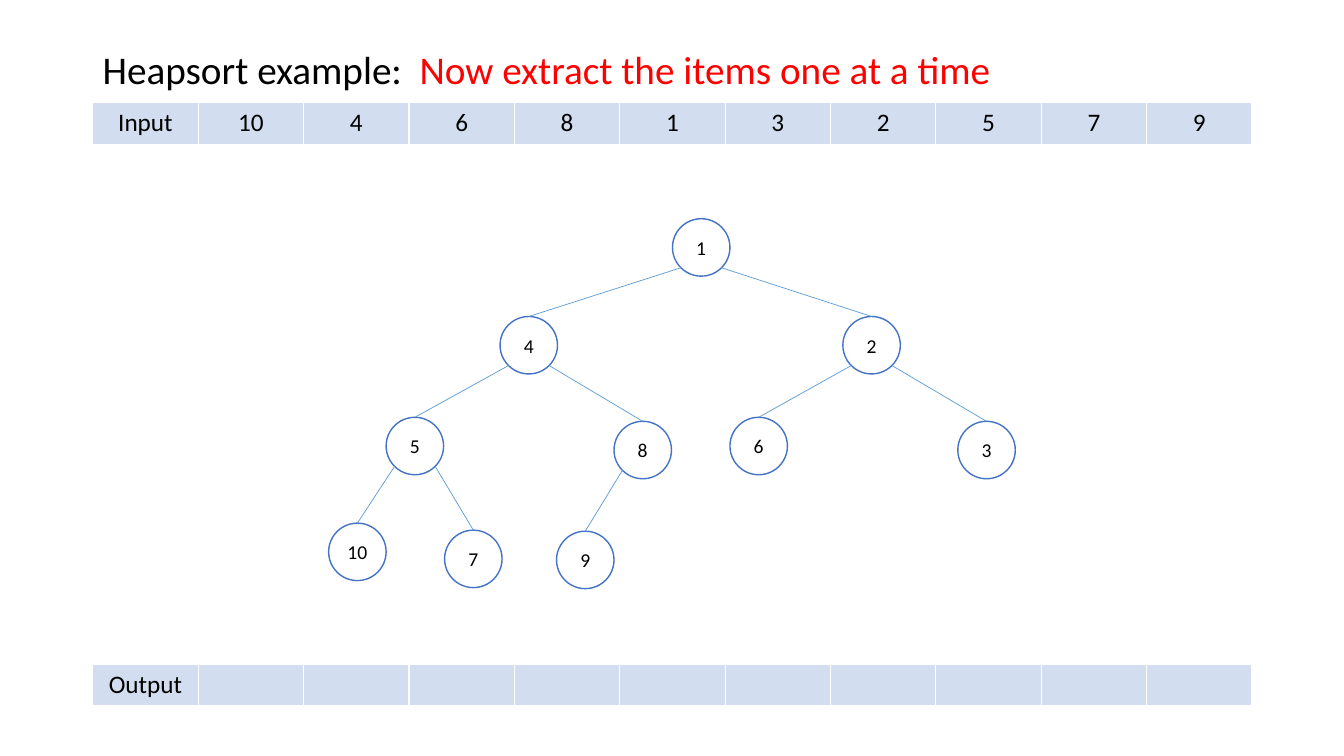
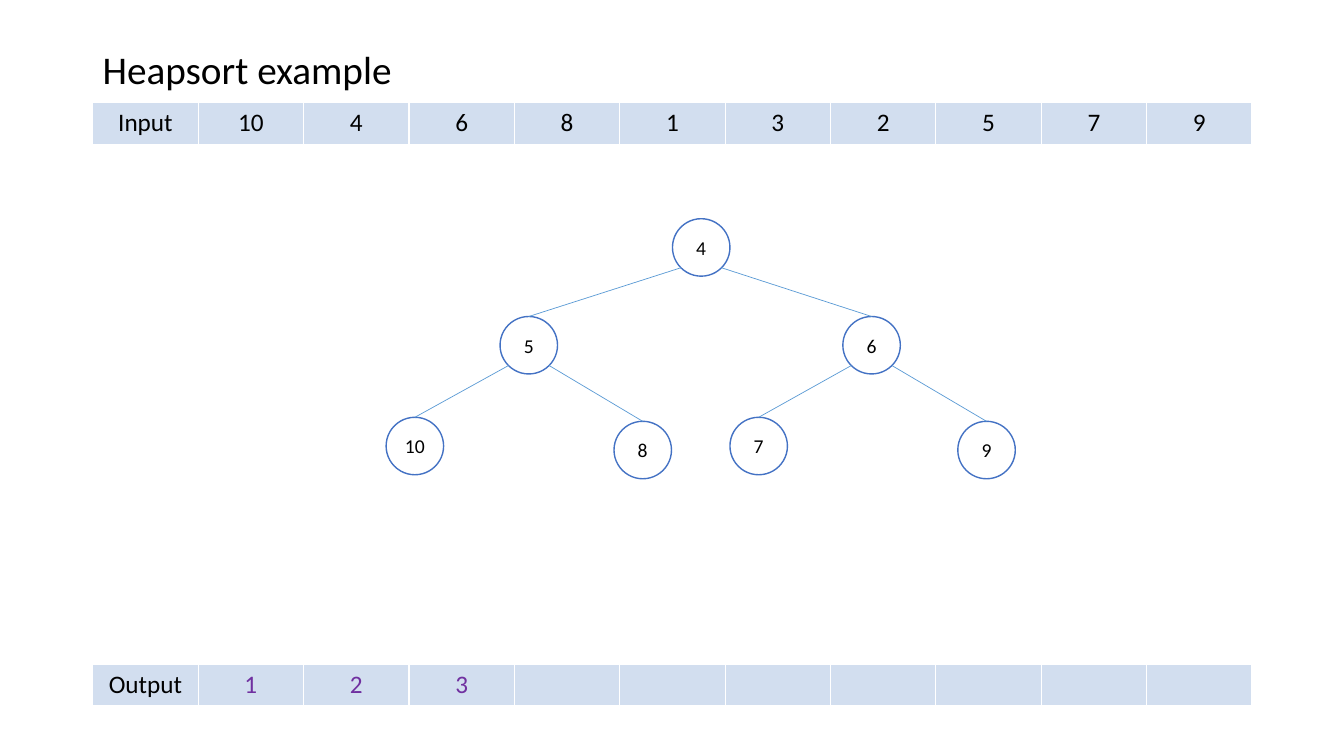
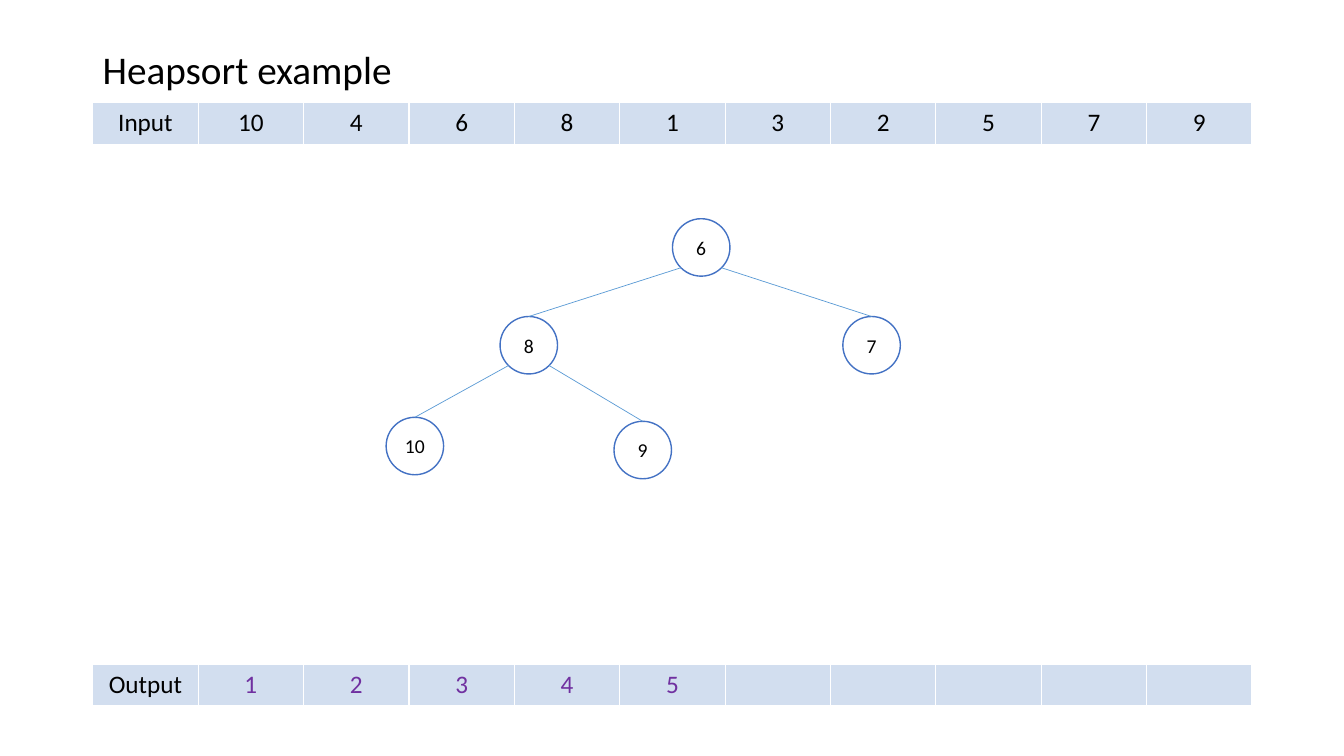
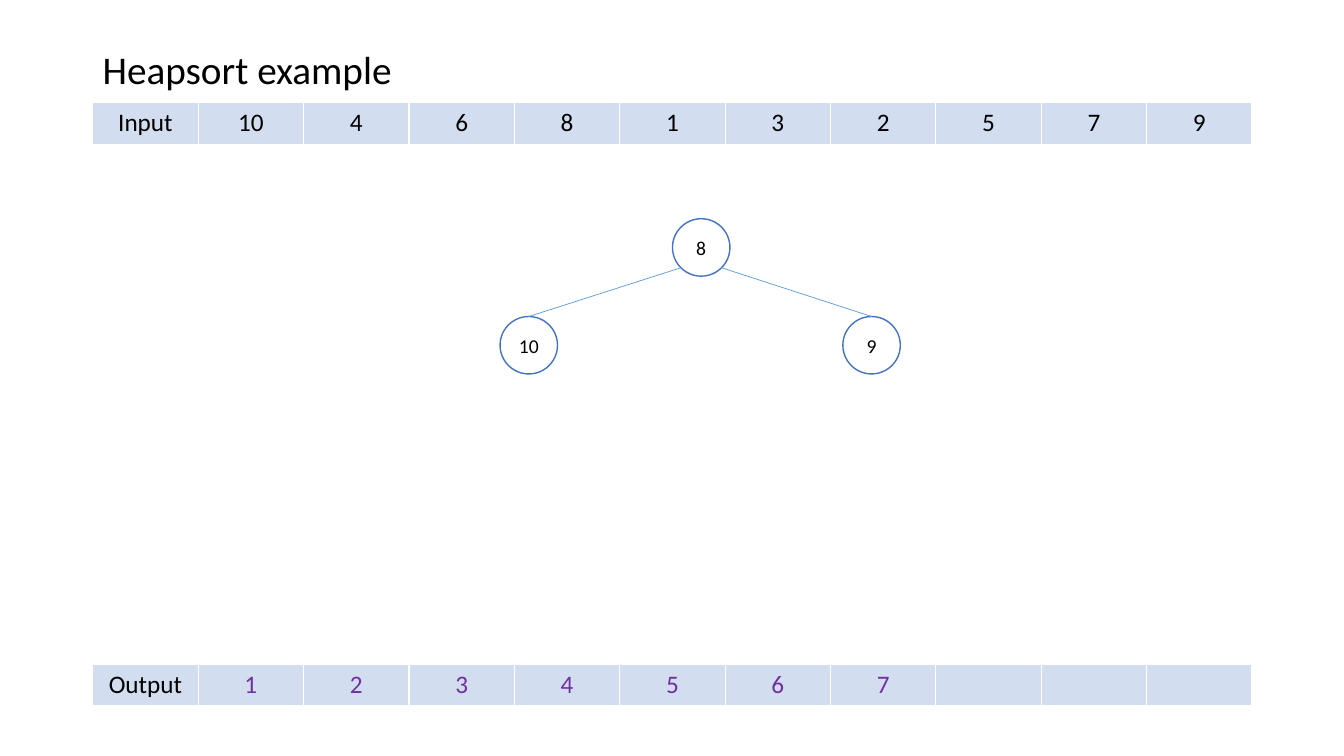
from math import sqrt

from pptx import Presentation
from pptx.dml.color import RGBColor
from pptx.enum.shapes import MSO_CONNECTOR as Line, MSO_SHAPE as Shape
from pptx.enum.text import MSO_ANCHOR as Anchor, PP_ALIGN as Align
from pptx.oxml import parse_xml
from pptx.oxml.ns import nsdecls
from pptx.util import Inches, Pt

FONT = "Calibri"
BLACK, WHITE, RED, PURPLE = "000000", "FFFFFF", "FF0000", "7030A0"
CELL, RING, EDGE = "D2DEEF", "4472C4", "5B9BD5"
LEFT, WIDTH, ROW = 0.92, 11.5, 0.41
SIZE = 0.57
ITEMS = [10, 4, 6, 8, 1, 3, 2, 5, 7, 9]
SPOTS = [
    (6.67, 2.17),
    (4.96, 3.14), (8.36, 3.14),
    (3.83, 4.14), (6.09, 4.18), (7.24, 4.14), (9.5, 4.18),
    (3.26, 5.19), (4.41, 5.26), (5.52, 5.27),
]
STEPS = [
    ([1, 4, 2, 5, 8, 6, 3, 10, 7, 9], "Now extract the items one at a time"),
    ([4, 5, 6, 10, 8, 7, 9], ""),
    ([6, 8, 7, 10, 9], ""),
    ([8, 10, 9], ""),
]


def color(code):
    """Turn a hex string into a colour."""
    return RGBColor.from_string(code)


def style(font, size, code=BLACK):
    """Set the typeface, size and colour of a font."""
    font.name = FONT
    font.size = Pt(size)
    font.color.rgb = color(code)


def paint(item, code):
    """Fill a shape or cell with a solid colour."""
    item.fill.solid()
    item.fill.fore_color.rgb = color(code)


def title(slide, note):
    """Add the slide title, with a red note after it if there is one."""
    box = slide.shapes.add_textbox(
        Inches(LEFT), Inches(0.4), Inches(WIDTH), Inches(0.62))
    frame = box.text_frame
    frame.word_wrap = True
    frame.vertical_anchor = Anchor.MIDDLE
    para = frame.paragraphs[0]
    para.line_spacing = 0.9
    style(para.font, 28)
    para.add_run().text = "Heapsort example" + (":  " if note else "")
    if note:
        run = para.add_run()
        run.text = note
        run.font.color.rgb = color(RED)


def border(cell):
    """Draw thin white lines on all sides of a cell."""
    props = cell._tc.get_or_add_tcPr()
    for spot, side in enumerate("LRTB"):
        props.insert(spot, parse_xml(
            f'<a:ln{side} {nsdecls("a")} w="12700"><a:solidFill>'
            f'<a:srgbClr val="{WHITE}"/></a:solidFill></a:ln{side}>'))


def strip(slide, top, label, values, code=BLACK):
    """Add a one-row table with a label and a cell for each item."""
    count = len(ITEMS) + 1
    table = slide.shapes.add_table(
        1, count, Inches(LEFT), Inches(top), Inches(WIDTH), Inches(ROW)).table
    table.first_row = table.horz_banding = False
    for spot in range(count):
        cell = table.cell(0, spot)
        paint(cell, CELL)
        border(cell)
        para = cell.text_frame.paragraphs[0]
        para.alignment = Align.CENTER
        style(para.font, 18, code if spot else BLACK)
        if spot <= len(values):
            para.text = str(values[spot - 1]) if spot else label


def node(slide, spot, value):
    """Add a ringed heap node with its value."""
    left, top = SPOTS[spot]
    ring = slide.shapes.add_shape(
        Shape.OVAL, Inches(left), Inches(top), Inches(SIZE), Inches(SIZE))
    ring.shadow.inherit = False
    paint(ring, WHITE)
    ring.line.color.rgb = color(RING)
    ring.line.width = Pt(1)
    frame = ring.text_frame
    frame.margin_left = frame.margin_right = 0
    frame.vertical_anchor = Anchor.MIDDLE
    para = frame.paragraphs[0]
    para.text = str(value)
    para.alignment = Align.CENTER
    style(para.font, 14)


def edge(slide, child):
    """Join the lower side of a parent to the top of its child."""
    half = SIZE / 2
    reach = half / sqrt(2)
    left, top = SPOTS[(child - 1) // 2]
    side = -reach if child % 2 else reach
    end, stop = SPOTS[child]
    link = slide.shapes.add_connector(
        Line.STRAIGHT, Inches(left + half + side), Inches(top + half + reach),
        Inches(end + half), Inches(stop))
    link.line.color.rgb = color(EDGE)
    link.line.width = Pt(0.5)
    link._element.spPr.append(parse_xml(f'<a:effectLst {nsdecls("a")}/>'))


def tree(slide, heap):
    """Draw a heap, given as a list in level order."""
    for spot, value in enumerate(heap):
        node(slide, spot, value)
        if spot:
            edge(slide, spot)


def main():
    """Build the heapsort slides."""
    deck = Presentation()
    deck.slide_width, deck.slide_height = Inches(13.33), Inches(7.5)
    for heap, note in STEPS:
        slide = deck.slides.add_slide(deck.slide_layouts[6])
        title(slide, note)
        done = sorted(set(ITEMS) - set(heap))
        strip(slide, 6.59, "Output", done, PURPLE)
        strip(slide, 1.02, "Input", ITEMS)
        tree(slide, heap)
    deck.save("out.pptx")


main()
